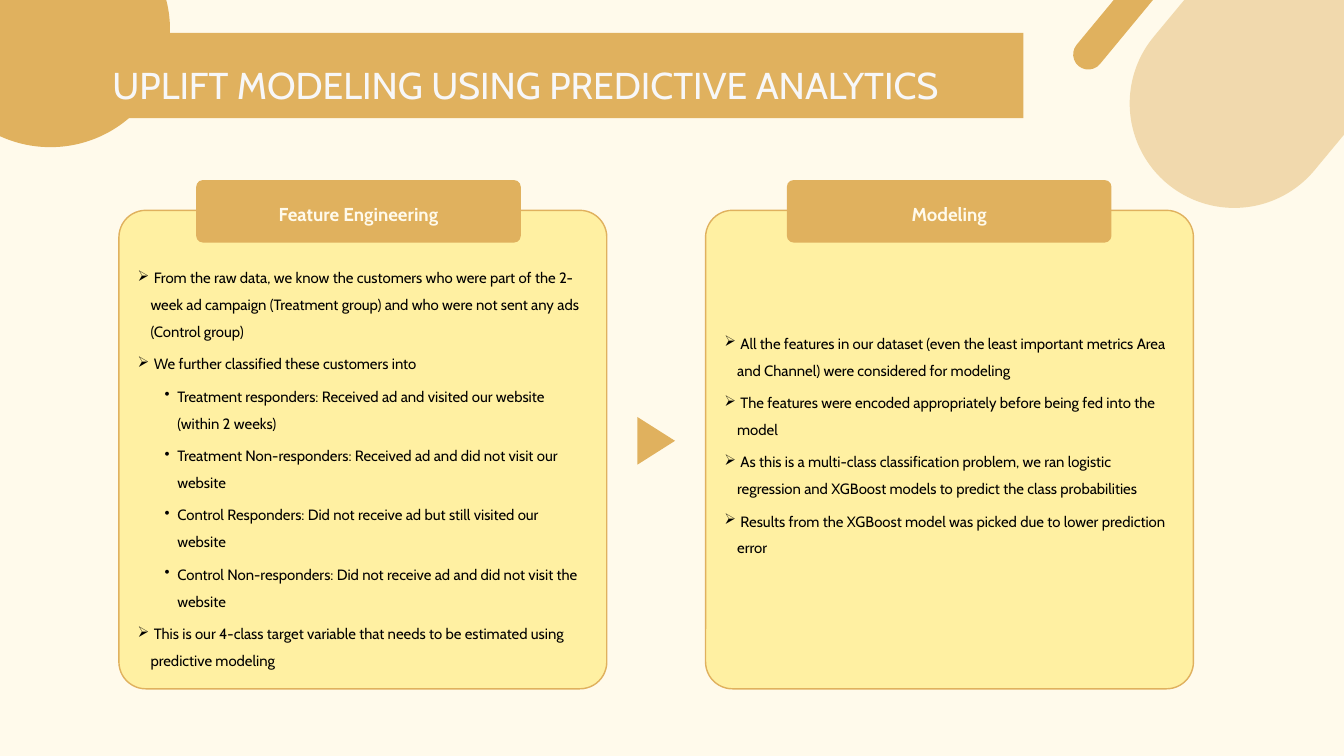
from lxml.etree import SubElement as Sub
from pptx import Presentation
from pptx.dml.color import RGBColor
from pptx.enum.shapes import MSO_SHAPE as Kind
from pptx.enum.text import MSO_ANCHOR as Anchor, PP_ALIGN as Align
from pptx.oxml.ns import qn
from pptx.util import Inches, Pt

GOLD, CREAM, YELLOW = "E0B15E", "FFFAEB", "FFF0A2"
WHITE, BLACK = "F7F7F8", "000000"
FONT = "Cabin"

TITLE = "UPLIFT MODELING USING PREDICTIVE ANALYTICS"

# Each panel: left, header left, height of text area, heading, (level, text)
PANELS = [
    (1.77, 2.92, 8.07, "Feature Engineering", [
        (0, "From the raw data, we know the customers who were part of the "
            "2-week ad campaign (Treatment group) and who were not sent any "
            "ads (Control group)"),
        (0, "We further classified these customers into"),
        (1, "Treatment responders: Received ad and visited our website "
            "(within 2 weeks)"),
        (1, "Treatment Non-responders: Received ad and did not visit our "
            "website"),
        (1, "Control Responders: Did not receive ad but still visited our "
            "website"),
        (1, "Control Non-responders: Did not receive ad and did not visit "
            "the website"),
        (0, "This is our 4-class target variable that needs to be estimated "
            "using predictive modeling"),
    ]),
    (10.5, 11.71, 7.37, "Modeling", [
        (0, "All the features in our dataset (even the least important "
            "metrics Area and Channel) were considered for modeling"),
        (0, "The features were encoded appropriately before being fed into "
            "the model"),
        (0, "As this is a multi-class classification problem, we ran "
            "logistic regression and XGBoost models to predict the class "
            "probabilities"),
        (0, "Results from the XGBoost model was picked due to lower "
            "prediction error"),
    ]),
]
# Per level: bullet sign, left margin, gap before the text
LEVELS = [("➢", 0.19, " "), ("•", 0.59, "")]
HANG = 0.19

# Rotated bars at top right: box, angle, opacity in percent
BARS = [((18.35, -4.28, 3.11, 7.93), 39.7, 44),
        ((16.4, -0.61, 0.45, 1.8), 39.6, 100)]


def rgb(code):
    return RGBColor.from_string(code)


def add_form(kind, box, fill, line=None, radius=None, turn=0):
    form = slide.shapes.add_shape(kind, *map(Inches, box))
    form.shadow.inherit = False
    form.fill.solid()
    form.fill.fore_color.rgb = rgb(fill)
    if line:
        form.line.color.rgb = rgb(line)
        form.line.width = Pt(1.5)
    else:
        form.line.fill.background()
    if radius:
        form.adjustments[0] = radius / min(box[2:])
    form.rotation = turn
    return form


def set_frame(frame, left, top, right, bottom):
    frame.word_wrap = True
    frame.vertical_anchor = Anchor.MIDDLE
    frame.margin_left, frame.margin_top = Inches(left), Inches(top)
    frame.margin_right, frame.margin_bottom = Inches(right), Inches(bottom)


def style(para, size, color, space, bold=False):
    para.line_spacing = space
    for run in para.runs:
        font = run.font
        font.name, font.size, font.bold = FONT, Pt(size), bold
        font.color.rgb = rgb(color)


def set_label(form, text, size, color, top=0.06, bold=False):
    frame = form.text_frame
    set_frame(frame, 0.06, top, 0.06, 0.06)
    frame.text = text
    para = frame.paragraphs[0]
    para.alignment = Align.CENTER
    style(para, size, color, 1.4, bold)


def add_list(box, items):
    frame = slide.shapes.add_textbox(*map(Inches, box)).text_frame
    set_frame(frame, 0.28, 0.28, 0.28, 0.28)
    for i, (level, text) in enumerate(items):
        para = frame.paragraphs[0] if i == 0 else frame.add_paragraph()
        sign, left, gap = LEVELS[level]
        para.text = gap + text
        para.space_after = Pt(6)
        style(para, 16, BLACK, 1.5)
        props = para._p.get_or_add_pPr()
        props.set("marL", str(Inches(left)))
        props.set("indent", str(-Inches(HANG)))
        tint = Sub(props, qn("a:buClr"))
        Sub(tint, qn("a:srgbClr"), val=BLACK)
        Sub(props, qn("a:buChar"), char=sign)


deck = Presentation()
deck.slide_width, deck.slide_height = Inches(20), Inches(11.25)
slide = deck.slides.add_slide(deck.slide_layouts[6])
back = slide.background.fill
back.solid()
back.fore_color.rgb = rgb(CREAM)

# Corner circle and title band
add_form(Kind.OVAL, (-1.03, -1.32, 3.56, 3.51), GOLD)
band = add_form(Kind.RECTANGLE, (0.41, 0.49, 14.82, 1.27), GOLD)
set_label(band, TITLE, 40, WHITE)

# Slanted bars
for box, turn, alpha in BARS:
    bar = add_form(Kind.ROUNDED_RECTANGLE, box, GOLD,
                   radius=box[2] / 2, turn=turn)
    if alpha < 100:
        color = bar._element.spPr.find(".//" + qn("a:srgbClr"))
        Sub(color, qn("a:alpha"), val=str(alpha * 1000))

# Panels with their headers
for left, head, tall, name, items in PANELS:
    add_form(Kind.ROUNDED_RECTANGLE, (left, 3.13, 7.26, 7.12), YELLOW,
             line=GOLD, radius=0.4)
    add_list((left, 2.88, 7.26, tall), items)
    tab = add_form(Kind.ROUNDED_RECTANGLE, (head, 2.68, 4.83, 0.93), GOLD,
                   radius=0.1)
    set_label(tab, name, 20, CREAM, top=0, bold=True)

# Pointer between the panels
add_form(Kind.ISOSCELES_TRIANGLE, (9.41, 6.28, 0.71, 0.56), GOLD, turn=90)

deck.save("out.pptx")
